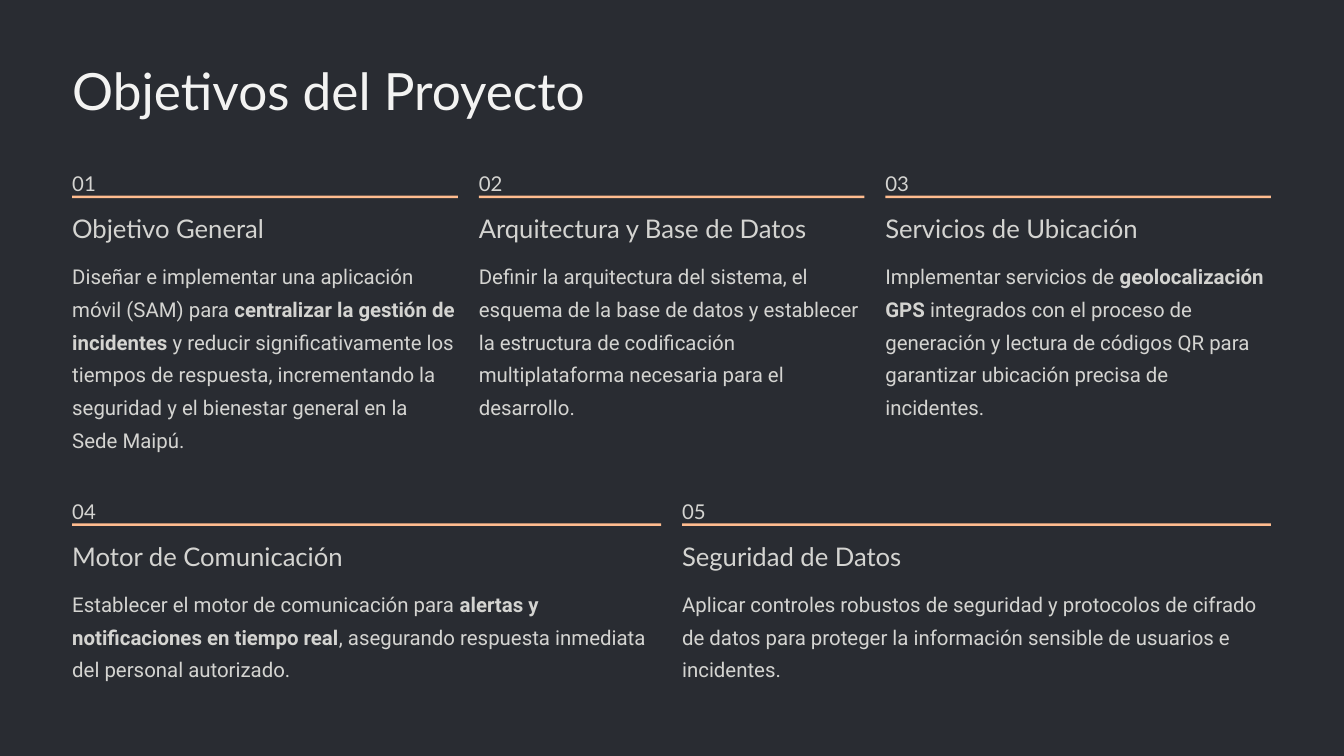
from collections import namedtuple

from pptx import Presentation
from pptx.dml.color import RGBColor
from pptx.enum.shapes import MSO_SHAPE
from pptx.enum.text import MSO_ANCHOR, PP_ALIGN
from pptx.util import Inches, Pt

SLIDE_WIDTH = 16
SLIDE_HEIGHT = 9
BACKGROUND = "292C32"
TITLE_COLOR = "F3F3F2"
TEXT_COLOR = "D4D4D1"
ACCENT = "FFBC8F"
LEFT = 0.86
CONTENT_WIDTH = 14.27
GAP = 0.25
LINE_HEIGHT = 0.39

Objective = namedtuple("Objective", "heading heading_width body body_lines")

ROWS = [
    (1.94, [
        Objective("Objetivo General", 3.08, [
            "Diseñar e implementar una aplicación móvil (SAM) para ",
            "centralizar la gestión de incidentes",
            " y reducir significativamente los tiempos de respuesta, incrementando "
            "la seguridad y el bienestar general en la Sede Maipú."], 6),
        Objective("Arquitectura y Base de Datos", 4.09, [
            "Definir la arquitectura del sistema, el esquema de la base de datos y "
            "establecer la estructura de codificación multiplataforma necesaria "
            "para el desarrollo."], 5),
        Objective("Servicios de Ubicación", 3.17, [
            "Implementar servicios de ",
            "geolocalización GPS",
            " integrados con el proceso de generación y lectura de códigos QR para "
            "garantizar ubicación precisa de incidentes."], 5),
    ]),
    (5.84, [
        Objective("Motor de Comunicación", 3.32, [
            "Establecer el motor de comunicación para ",
            "alertas y notificaciones en tiempo real",
            ", asegurando respuesta inmediata del personal autorizado."], 3),
        Objective("Seguridad de Datos", 3.08, [
            "Aplicar controles robustos de seguridad y protocolos de cifrado de "
            "datos para proteger la información sensible de usuarios e "
            "incidentes."], 3),
    ]),
]


def color(value):
    """Turn a hex string into a colour."""
    return RGBColor.from_string(value)


def add_text(slide, parts, left, top, width, height, size=17.5, spacing=28,
             font="Lato", fill=TEXT_COLOR, wrap=False):
    """Add a one-paragraph text box in which every second part is bold."""
    box = slide.shapes.add_textbox(
        Inches(left), Inches(top), Inches(width), Inches(height))
    frame = box.text_frame
    frame.margin_left = frame.margin_right = 0
    frame.margin_top = frame.margin_bottom = 0
    frame.vertical_anchor = MSO_ANCHOR.TOP
    frame.word_wrap = wrap
    paragraph = frame.paragraphs[0]
    paragraph.alignment = PP_ALIGN.LEFT
    paragraph.line_spacing = Pt(spacing)
    for index, part in enumerate(parts):
        run = paragraph.add_run()
        run.text = part
        run.font.name = font
        run.font.size = Pt(size)
        run.font.bold = index % 2 == 1
        run.font.color.rgb = color(fill)


def add_rectangle(slide, left, top, width, height, fill):
    """Add a plain filled rectangle."""
    shape = slide.shapes.add_shape(
        MSO_SHAPE.RECTANGLE, Inches(left), Inches(top), Inches(width), Inches(height))
    shape.shadow.inherit = False
    shape.fill.solid()
    shape.fill.fore_color.rgb = color(fill)
    shape.line.fill.background()


def add_objective(slide, number, objective, left, top, width):
    """Add one numbered objective inside its column."""
    add_text(slide, [f"{number:02d}"], left, top, 0.35, 0.31)
    add_rectangle(slide, left, top + 0.39, width, 0.03, ACCENT)
    add_text(slide, [objective.heading], left, top + 0.58,
             objective.heading_width, 0.39, size=22, spacing=27.5)
    add_text(slide, objective.body, left, top + 1.11, width,
             objective.body_lines * LINE_HEIGHT, font="Roboto", wrap=True)


def add_objectives(slide):
    """Add the rows of objectives in equal columns."""
    number = 1
    for top, objectives in ROWS:
        count = len(objectives)
        width = (CONTENT_WIDTH - GAP * (count - 1)) / count
        for column, objective in enumerate(objectives):
            left = LEFT + column * (width + GAP)
            add_objective(slide, number, objective, left, top, width)
            number += 1


def main():
    """Build and save the slide."""
    presentation = Presentation()
    presentation.slide_width = Inches(SLIDE_WIDTH)
    presentation.slide_height = Inches(SLIDE_HEIGHT)
    slide = presentation.slides.add_slide(presentation.slide_layouts[6])
    add_rectangle(slide, 0, 0, SLIDE_WIDTH, SLIDE_HEIGHT, BACKGROUND)
    add_text(slide, ["Objetivos del Proyecto"], LEFT, 0.68, 6.32, 0.77,
             size=44, spacing=55, fill=TITLE_COLOR)
    add_objectives(slide)
    presentation.save("out.pptx")


if __name__ == "__main__":
    main()
